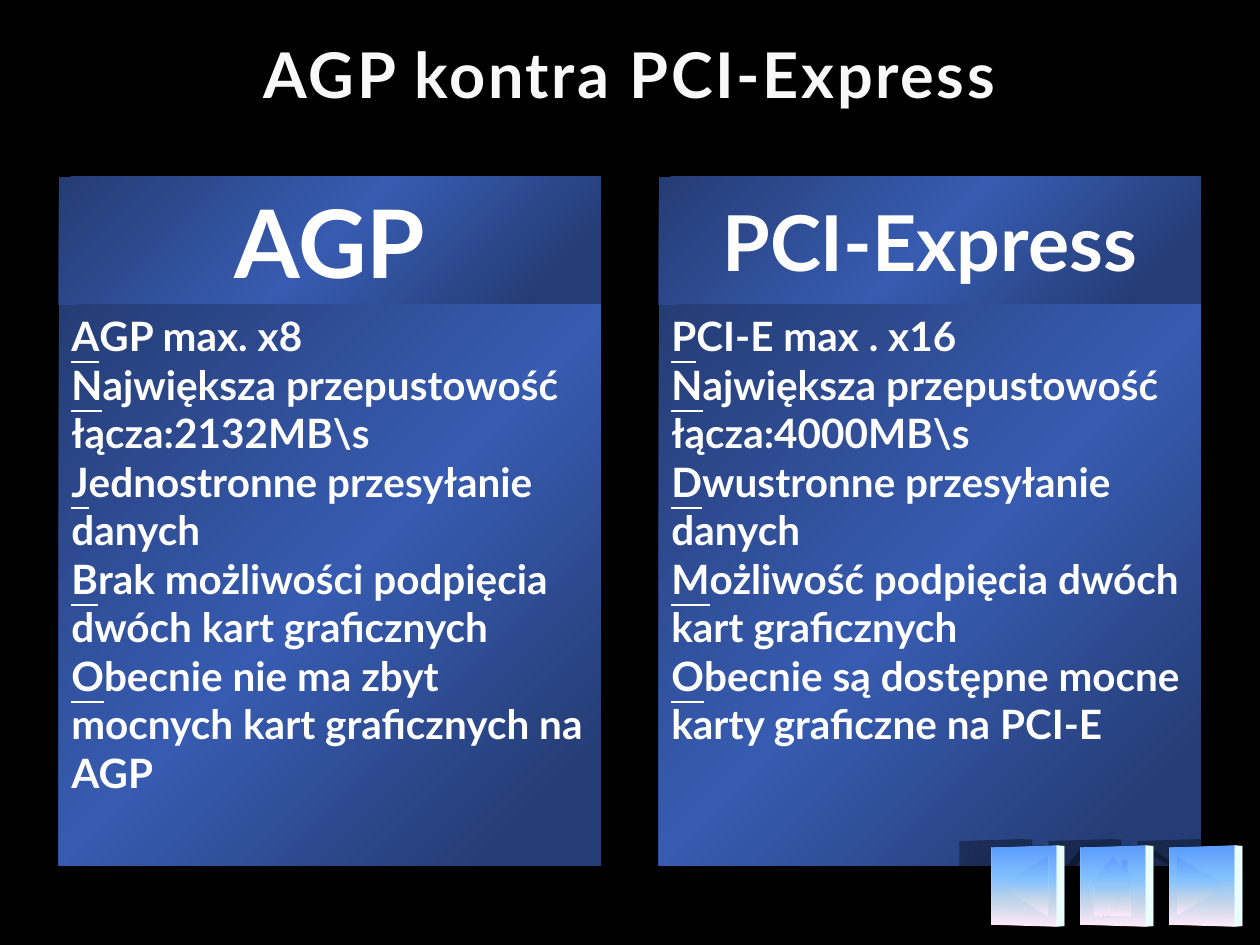
from lxml import etree
from pptx import Presentation
from pptx import util as u
from pptx.dml.color import RGBColor
from pptx.enum import shapes, text
from pptx.oxml import parse_xml
from pptx.oxml.ns import nsdecls, qn

PX = 914400 / 126
FONT = "Lato"
COLORS = {"back": "000000", "title": "F8F8F8", "text": "FFFFFF", "shadow": "000000"}
PANEL_STOPS = [(0, "253D75"), (50, "375BB0"), (90, "253D75")]
BUTTON_STOPS = [(0, "5E9EFF"), (40, "85C2FF"), (70, "C4D6EB"), (100, "FFEBFA")]
PANEL_SHADOW = {"alpha": 26, "blur": 15, "distance": 18, "direction": 45}
BUTTON_SHADOW = {"alpha": 18, "blur": 14.5, "distance": 19, "direction": 192}


def px(value):
    return u.Emu(round(value * PX))


def add_depth(shape):
    """Turn the shape into a block seen at an angle."""
    properties = shape._element.spPr
    properties.append(parse_xml(
        f'<a:scene3d {nsdecls("a")}><a:camera prst="perspectiveFront" fov="5100000">'
        '<a:rot lat="0" lon="2100000" rev="0"/></a:camera>'
        '<a:lightRig rig="flood" dir="t"><a:rot lat="0" lon="0" rev="13800000"/>'
        '</a:lightRig></a:scene3d>'))
    properties.append(parse_xml(
        f'<a:sp3d {nsdecls("a")} extrusionH="107950" prstMaterial="plastic">'
        '<a:bevelT w="82550" h="63500" prst="divot"/><a:bevelB/></a:sp3d>'))


class SlideBuilder:
    def __init__(self, slide):
        self.slide = slide
        fill = slide.background.fill
        fill.solid()
        fill.fore_color.rgb = RGBColor.from_string(COLORS["back"])

    def add_span(self, para, words, size, color="text", underline=False):
        span = para.add_run()
        span.text = words
        font = span.font
        font.name, font.size, font.bold = FONT, u.Pt(size), True
        font.underline = underline
        font.color.rgb = RGBColor.from_string(COLORS[color])
        return span

    def set_title(self, words):
        title = self.slide.shapes.title
        title.left, title.top, title.width, title.height = map(px, (0, 0, 1260, 147))
        title.text_frame.vertical_anchor = text.MSO_ANCHOR.MIDDLE
        para = title.text_frame.paragraphs[0]
        para.alignment = text.PP_ALIGN.CENTER
        span = self.add_span(para, words, 36, "title")
        span.font._element.set("spc", "150")

    def add_box(self, kind, bounds, stops, angle, shadow):
        """Add a borderless gradient shape with a soft shadow."""
        box = self.slide.shapes.add_shape(kind, *map(px, bounds))
        box.fill.gradient()
        box.fill.gradient_angle = 360 - angle
        stop_list = box._element.spPr.find(".//" + qn("a:gsLst"))
        for old in list(stop_list):
            stop_list.remove(old)
        for position, color in stops:
            stop = etree.SubElement(stop_list, qn("a:gs"), pos=str(position * 1000))
            etree.SubElement(stop, qn("a:srgbClr"), val=color)
        box.line.fill.background()
        box.shadow.inherit = False
        effects = box._element.spPr.find(qn("a:effectLst"))
        effects.append(parse_xml(
            f'<a:outerShdw {nsdecls("a")} blurRad="{u.Pt(shadow["blur"])}" '
            f'dist="{u.Pt(shadow["distance"])}" dir="{shadow["direction"] * 60000}" '
            f'algn="ctr" rotWithShape="0"><a:srgbClr val="{COLORS["shadow"]}">'
            f'<a:alpha val="{shadow["alpha"] * 1000}"/></a:srgbClr></a:outerShdw>'))
        return box

    def add_panel(self, bounds):
        box = self.add_box(shapes.MSO_SHAPE.RECTANGLE, bounds, PANEL_STOPS, 45, PANEL_SHADOW)
        box.text_frame.word_wrap = True
        return box.text_frame

    def add_heading(self, bounds, words, size):
        frame = self.add_panel(bounds)
        frame.vertical_anchor = text.MSO_ANCHOR.MIDDLE
        para = frame.paragraphs[0]
        para.alignment = text.PP_ALIGN.CENTER
        self.add_span(para, words, size)

    def add_features(self, bounds, lines):
        """Add a panel of lines, each with its first letter underlined."""
        frame = self.add_panel(bounds)
        frame.vertical_anchor = text.MSO_ANCHOR.TOP
        for index, line in enumerate(lines):
            para = frame.add_paragraph() if index else frame.paragraphs[0]
            para.alignment = text.PP_ALIGN.LEFT
            self.add_span(para, line[0], 23.1, underline=True)
            self.add_span(para, line[1:], 23.1)

    def add_button(self, kind, left):
        bounds = (left, 847, 79, 79)
        add_depth(self.add_box(kind, bounds, BUTTON_STOPS, 90, BUTTON_SHADOW))


COLUMNS = [
    (659, "PCI-Express", 44, [
        "PCI-E max . x16",
        "Największa przepustowość łącza:4000MB\\s",
        "Dwustronne przesyłanie danych",
        "Możliwość podpięcia dwóch kart graficznych",
        "Obecnie są dostępne mocne karty graficzne na PCI-E",
    ]),
    (59, "AGP", 54, [
        "AGP max. x8",
        "Największa przepustowość łącza:2132MB\\s",
        "Jednostronne przesyłanie danych",
        "Brak możliwości podpięcia dwóch kart graficznych",
        "Obecnie nie ma zbyt mocnych kart graficznych na AGP",
    ]),
]
BUTTONS = [
    shapes.MSO_SHAPE.ACTION_BUTTON_FORWARD_OR_NEXT,
    shapes.MSO_SHAPE.ACTION_BUTTON_HOME,
    shapes.MSO_SHAPE.ACTION_BUTTON_BACK_OR_PREVIOUS,
]


def main():
    deck = Presentation()
    deck.slide_width, deck.slide_height = px(1260), px(945)
    builder = SlideBuilder(deck.slides.add_slide(deck.slide_layouts[5]))
    builder.set_title("AGP kontra PCI-Express")
    for left, heading, size, lines in COLUMNS:
        builder.add_heading((left, 177, 542, 128), heading, size)
        builder.add_features((left, 305, 542, 561), lines)
    for index, kind in enumerate(BUTTONS):
        builder.add_button(kind, 1162 - 89 * index)
    deck.save("out.pptx")


if __name__ == "__main__":
    main()
